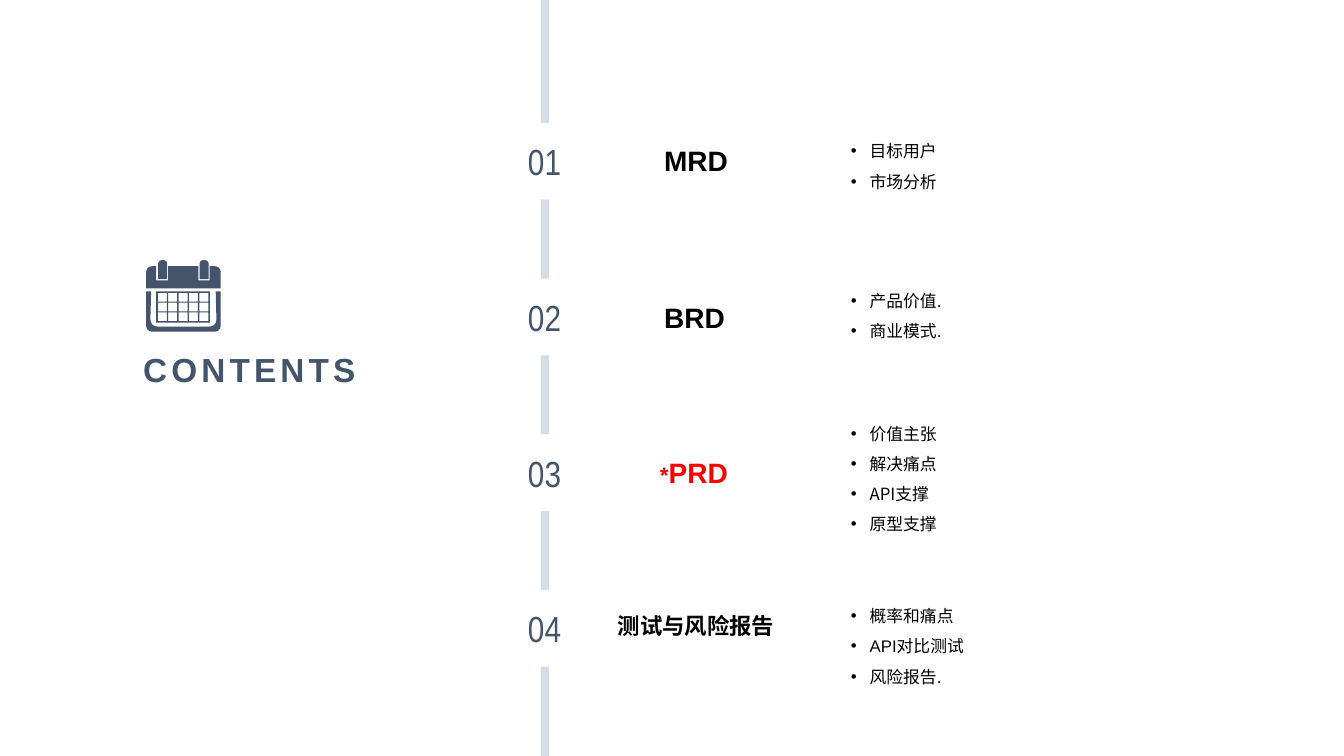
from lxml import etree
from pptx import Presentation
from pptx.dml.color import RGBColor
from pptx.enum.shapes import MSO_SHAPE
from pptx.enum.text import MSO_ANCHOR, MSO_AUTO_SIZE, PP_ALIGN
from pptx.oxml.ns import qn
from pptx.util import Pt

RECTANGLE, OVAL = MSO_SHAPE.RECTANGLE, MSO_SHAPE.OVAL
TOP, MIDDLE, BOTTOM = MSO_ANCHOR.TOP, MSO_ANCHOR.MIDDLE, MSO_ANCHOR.BOTTOM
LEFT, CENTER, RIGHT = PP_ALIGN.LEFT, PP_ALIGN.CENTER, PP_ALIGN.RIGHT
NO_AUTOFIT = MSO_AUTO_SIZE.NONE

COLORS = {"navy": "44546A", "track": "D6DCE5", "white": "FFFFFF",
          "black": "000000", "red": "FF0000"}
COMPARISON_LAYOUT = 4  # one title and four body placeholders


def box(left, top, right, bottom, top_radius=0):
    return [(left, top, top_radius), (right, top, top_radius),
            (right, bottom, 0), (left, bottom, 0)]


def rounded(corners, steps=6):
    """Outline through (x, y, radius) corners, each bent by a quadratic curve."""
    points = []
    for i, (x, y, radius) in enumerate(corners):
        if not radius:
            points.append((x, y))
            continue
        ends = []
        for nx, ny, _ in (corners[i - 1], corners[(i + 1) % len(corners)]):
            share = radius / ((nx - x) ** 2 + (ny - y) ** 2) ** 0.5
            ends.append((x + (nx - x) * share, y + (ny - y) * share))
        (ax, ay), (bx, by) = ends
        for step in range(steps + 1):
            t = step / steps
            u = 1 - t
            points.append((u * u * ax + 2 * u * t * x + t * t * bx,
                           u * u * ay + 2 * u * t * y + t * t * by))
    return [(Pt(x), Pt(y)) for x, y in points]


class Agenda:
    font = "Arial"

    def __init__(self, slide):
        self.slide = slide

    def color(self, name):
        return RGBColor.from_string(COLORS[name])

    def place(self, shape, left, top, width, height):
        shape.left, shape.top = Pt(left), Pt(top)
        shape.width, shape.height = Pt(width), Pt(height)

    def frame(self, shape, anchor, wrap=False):
        frame = shape.text_frame
        frame.auto_size = NO_AUTOFIT
        frame.word_wrap = wrap
        frame.vertical_anchor = anchor
        return frame

    def style(self, font, size, color, bold=False, name=None):
        font.name, font.size, font.bold = name or self.font, Pt(size), bold
        font.color.rgb = self.color(color)

    def paint(self, shape, fill, line_width=0):
        shape.shadow.inherit = False
        shape.fill.solid()
        shape.fill.fore_color.rgb = self.color(fill)
        if line_width:
            shape.line.color.rgb = self.color(fill)
            shape.line.width = Pt(line_width)
        else:
            shape.line.fill.background()

    def title(self, text, *place):
        title = self.slide.shapes.title
        self.place(title, *place)
        paragraph = self.frame(title, MIDDLE).paragraphs[0]
        run = paragraph.add_run()
        run.text = text
        run._r.get_or_add_rPr().set("spc", "300")
        paragraph.alignment, paragraph.line_spacing = LEFT, 1.3
        self.style(paragraph.font, 23.8, "navy", True)

    def track(self, *place):
        track = self.slide.shapes.add_shape(RECTANGLE, *map(Pt, place))
        self.paint(track, "track")

    def number(self, text, *place):
        stop = self.slide.shapes.add_shape(OVAL, *map(Pt, place))
        self.paint(stop, "white", 4.5)
        paragraph = self.frame(stop, MIDDLE).paragraphs[0]
        paragraph.text, paragraph.alignment = text, CENTER
        self.style(paragraph.font, 25.9, "navy", name="Arial Narrow")

    def heading(self, parts, color, *place):
        heading = self.slide.shapes.add_textbox(*map(Pt, place))
        paragraph = self.frame(heading, BOTTOM).paragraphs[0]
        paragraph.alignment = RIGHT
        for text, size in parts:
            run = paragraph.add_run()
            run.text = text
            self.style(run.font, size, color, True)

    def bullets(self, placeholder, topics, font, *place):
        self.place(placeholder, *place)
        frame = self.frame(placeholder, TOP, wrap=True)
        for i, topic in enumerate(topics):
            paragraph = frame.add_paragraph() if i else frame.paragraphs[0]
            paragraph.text, paragraph.alignment = topic, LEFT
            paragraph.line_spacing, paragraph.space_before = 1.5, Pt(0)
            props = paragraph._p.get_or_add_pPr()
            props.set("marL", str(Pt(13.5)))
            props.set("indent", str(-Pt(13.5)))
            etree.SubElement(props, qn("a:buFont")).set("typeface", "Arial")
            etree.SubElement(props, qn("a:buChar")).set("char", "•")
            self.style(paragraph.font, 12, "black", name=font)

    def icon(self, outlines, color):
        first, *others = [rounded(outline) for outline in outlines]
        builder = self.slide.shapes.build_freeform(*first[0])
        builder.add_line_segments(first[1:], close=True)
        for points in others:
            builder.move_to(*points[0])
            builder.add_line_segments(points[1:], close=True)
        self.paint(builder.convert_to_shape(), color)


# Sections: heading parts, colour, heading box, topics, font, list box
SECTIONS = [
    ([("MRD", 20)], "black", (465.1, 100.1, 62, 30.2),
     ["目标用户", "市场分析"], "Arial", (90, 83, 50.4)),
    ([("BRD", 20)], "black", (460.8, 211.7, 64.1, 30.2),
     ["产品价值.", "商业模式."], "Arial", (196.6, 101.5, 49.7)),
    ([("*", 16), ("PRD", 20)], "red", (460.8, 322.6, 66.2, 30.2),
     ["价值主张", "解决痛点", "API支撑", "原型支撑"], "Noto Sans CJK SC",
     (291.6, 88, 92.9)),
    ([("测试与风险报告", 16)], "black", (432.7, 429.8, 127.4, 30.2),
     ["概率和痛点", "API对比测试", "风险报告."], "Arial", (421.9, 110, 75.6)),
]

# Calendar: tray, header, two rings, then the grid and its cells
CALENDAR = [
    [(104.4, 208.1, 0), (108, 208.1, 0), (107.3, 233.3, 6), (154.8, 233.3, 6),
     (154.1, 208.1, 0), (157.7, 208.1, 0), (157.7, 236.9, 5), (104.4, 236.9, 5)],
    [(104.4, 190.1, 5), (111.6, 190.1, 0), (111.6, 200.2, 0), (120.2, 200.2, 0),
     (120.2, 190.1, 0), (141.8, 190.1, 0), (141.8, 200.2, 0), (149.8, 200.2, 0),
     (149.8, 190.1, 0), (157.7, 190.1, 5), (157.7, 205.9, 0), (104.4, 205.9, 0)],
    *[box(x, 185.8, x + 6.5, 199.4, 3.2) for x in (113, 142.6)],
    box(111.6, 208.1, 150, 230.4),
    *[box(x, y, x + 6.4, y + 6.2)
      for x in (112.8 + 7.4 * col for col in range(5))
      for y in (209.2 + 7 * row for row in range(3))],
]


def main():
    deck = Presentation()
    deck.slide_width, deck.slide_height = Pt(960), Pt(540)
    slide = deck.slides.add_slide(deck.slide_layouts[COMPARISON_LAYOUT])
    agenda = Agenda(slide)

    # Left: icon and title
    agenda.icon(CALENDAR, "navy")
    agenda.title("CONTENTS", 95, 235.4, 253.4, 47.5)

    # Right: track with numbered sections
    agenda.track(386.4, 0, 5.8, 540)
    lists = list(slide.placeholders)[1:]
    for i, (parts, color, heading_box, topics, font, list_box) in enumerate(SECTIONS):
        top, width, height = list_box
        agenda.number(f"{i + 1:02}", 363.8, 90 + 111.2 * i, 50.4, 50.4)
        agenda.heading(parts, color, *heading_box)
        agenda.bullets(lists[i], topics, font, 600.5, top, width, height)

    deck.save("out.pptx")


if __name__ == "__main__":
    main()
